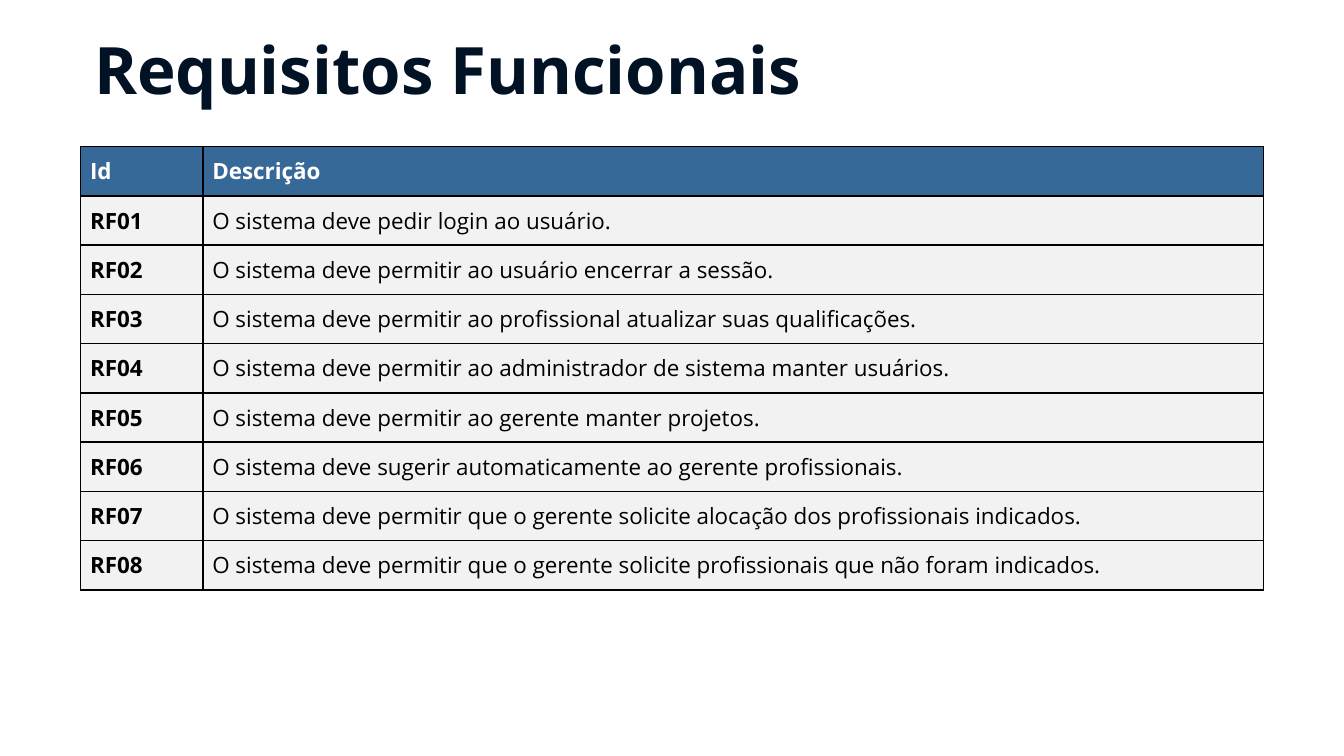
"""Build the slide of functional requirements."""
from dataclasses import dataclass

from lxml import etree
from pptx import Presentation, util as u
from pptx.dml.color import RGBColor
from pptx.enum import text as t
from pptx.oxml import ns

FONT = "Open Sans"
HUES = {"title": "011225", "head": "376998", "body": "F2F2F2",
        "white": "FFFFFF", "black": "000000"}
WIDE = 10
HIGH = WIDE * 9 / 16
COLS = (0.91, 7.89)
ROW = 0.36


@dataclass
class Need:
    code: str
    desc: str


NEEDS = [Need(f"RF{num:02}", f"O sistema deve {task}.") for num, task in enumerate((
    "pedir login ao usuário",
    "permitir ao usuário encerrar a sessão",
    "permitir ao profissional atualizar suas qualificações",
    "permitir ao administrador de sistema manter usuários",
    "permitir ao gerente manter projetos",
    "sugerir automaticamente ao gerente profissionais",
    "permitir que o gerente solicite alocação dos profissionais indicados",
    "permitir que o gerente solicite profissionais que não foram indicados",
), 1)]


def style(frame, size: float, hue: str, bold: bool) -> None:
    for para in frame.paragraphs:
        para.alignment = t.PP_ALIGN.LEFT
        for run in para.runs:
            run.font.name = FONT
            run.font.size = u.Pt(size)
            run.font.bold = bold
            run.font.color.rgb = RGBColor.from_string(HUES[hue])


def border(cell, hue: str, width: float) -> None:
    props = cell._tc.get_or_add_tcPr()
    for side in ("lnL", "lnR", "lnT", "lnB"):
        line = etree.SubElement(props, ns.qn(f"a:{side}"), w=str(u.Pt(width)))
        fill = etree.SubElement(line, ns.qn("a:solidFill"))
        etree.SubElement(fill, ns.qn("a:srgbClr"), val=HUES[hue])


def write(cell, words: str, fill: str, hue: str, bold: bool) -> None:
    cell.text_frame.text = words
    style(cell.text_frame, 12, hue, bold)
    cell.margin_left = cell.margin_right = u.Inches(0.07)
    cell.margin_top = cell.margin_bottom = u.Inches(0.07)
    border(cell, "black", 1)
    cell.fill.solid()
    cell.fill.fore_color.rgb = RGBColor.from_string(HUES[fill])


def add_title(slide, words: str) -> None:
    title = slide.shapes.title
    title.left, title.top = u.Inches(0.6), u.Inches(0.19)
    title.width, title.height = u.Inches(6.89), u.Inches(0.63)
    frame = title.text_frame
    frame.text = words
    frame.auto_size = t.MSO_AUTO_SIZE.NONE
    frame.vertical_anchor = t.MSO_ANCHOR.MIDDLE
    frame.margin_left = frame.margin_right = u.Inches(0.1)
    frame.margin_top = frame.margin_bottom = u.Inches(0.1)
    style(frame, 35, "title", True)


def add_needs(slide, needs: list[Need]) -> None:
    count = len(needs) + 1
    table = slide.shapes.add_table(
        count, len(COLS), u.Inches(0.6), u.Inches(1.09),
        u.Inches(sum(COLS)), u.Inches(ROW * count)).table
    for col, width in zip(table.columns, COLS):
        col.width = u.Inches(width)
    for num, words in enumerate(("Id", "Descrição")):
        write(table.cell(0, num), words, "head", "white", True)
    for row, need in enumerate(needs, 1):
        write(table.cell(row, 0), need.code, "body", "black", True)
        write(table.cell(row, 1), need.desc, "body", "black", False)


def main() -> None:
    deck = Presentation()
    deck.slide_width, deck.slide_height = u.Inches(WIDE), u.Inches(HIGH)
    slide = deck.slides.add_slide(deck.slide_layouts[5])
    add_title(slide, "Requisitos Funcionais")
    add_needs(slide, NEEDS)
    deck.save("out.pptx")


if __name__ == "__main__":
    main()
